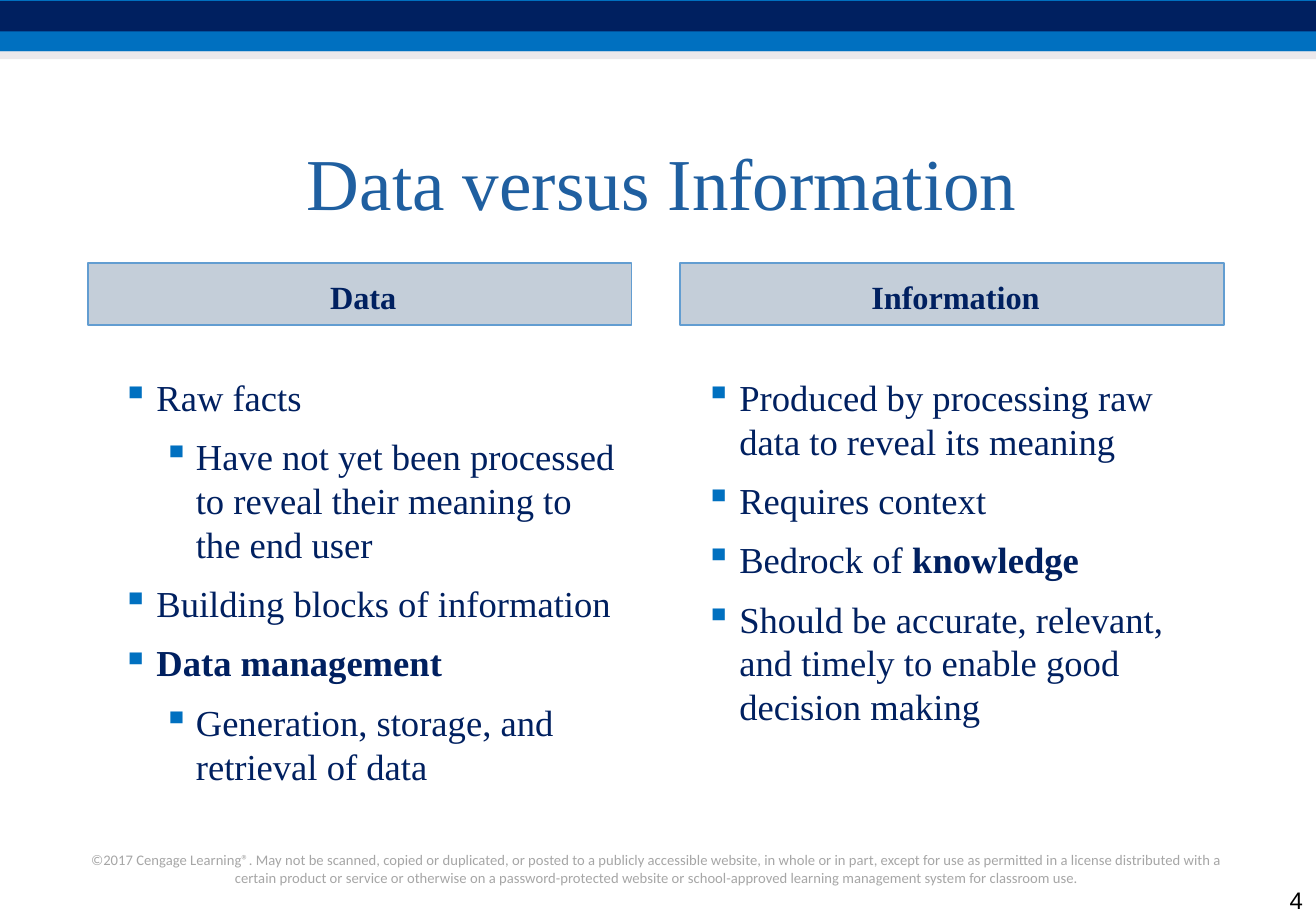
from pptx import Presentation
from pptx.dml.color import RGBColor
from pptx.enum.shapes import MSO_SHAPE
from pptx.enum.text import MSO_ANCHOR, PP_ALIGN
from pptx.oxml.ns import qn
from pptx.util import Pt
from lxml.etree import SubElement

EMU_PER_PX = 9144
NAVY = "002060"
BLUE = "0070C0"
SERIF = "Times New Roman"
INDENTS = [(37, -26), (67, -25)]


def px(length):
    return length * EMU_PER_PX


def color(value):
    return RGBColor.from_string(value)


class SlideBuilder:
    def __init__(self, deck):
        self.page = deck.slides.add_slide(deck.slide_layouts[6])

    def style(self, paragraph, size, ink, font=SERIF, bold=False):
        paragraph.font.name = font
        paragraph.font.size = Pt(size)
        paragraph.font.bold = bold
        paragraph.font.color.rgb = color(ink)

    def rectangle(self, left, top, width, height, fill, alpha=100, line=None):
        box = self.page.shapes.add_shape(
            MSO_SHAPE.RECTANGLE, px(left), px(top), px(width), px(height))
        box.shadow.inherit = False
        box.fill.solid()
        box.fill.fore_color.rgb = color(fill)
        if alpha < 100:
            tint = box.fill._xPr.find(qn("a:solidFill"))[0]
            SubElement(tint, qn("a:alpha"), val=str(alpha * 1000))
        if line:
            box.line.color.rgb = color(line)
            box.line.width = Pt(1)
        else:
            box.line.fill.background()
        return box

    def text_box(self, left, top, width, height, anchor=MSO_ANCHOR.TOP):
        box = self.page.shapes.add_textbox(px(left), px(top), px(width), px(height))
        box.text_frame.word_wrap = True
        box.text_frame.vertical_anchor = anchor
        return box.text_frame

    def label(self, left, top, width, height, text, size, ink, font=SERIF,
              align=PP_ALIGN.CENTER, anchor=MSO_ANCHOR.TOP):
        paragraph = self.text_box(left, top, width, height, anchor).paragraphs[0]
        paragraph.text = text
        paragraph.alignment = align
        self.style(paragraph, size, ink, font)

    def heading(self, left, top, width, height, text):
        box = self.rectangle(left, top, width, height, "143F6A", 25, "629DD1")
        frame = box.text_frame
        frame.margin_left = px(15)
        frame.margin_top = px(9)
        frame.vertical_anchor = MSO_ANCHOR.MIDDLE
        paragraph = frame.paragraphs[0]
        paragraph.text = text
        paragraph.alignment = PP_ALIGN.CENTER
        self.style(paragraph, 17.7, NAVY, bold=True)

    def bullets(self, left, top, width, height, items):
        frame = self.text_box(left, top, width, height)
        for index, (level, plain, strong) in enumerate(items):
            paragraph = frame.paragraphs[0] if index == 0 else frame.add_paragraph()
            paragraph.level = level
            paragraph.space_before = Pt(2.8 if index else 0)
            paragraph.space_after = Pt(5.6)
            margin, indent = INDENTS[level]
            properties = paragraph._p.get_or_add_pPr()
            properties.set("marL", str(px(margin)))
            properties.set("indent", str(px(indent)))
            bullet_color = SubElement(properties, qn("a:buClr"))
            SubElement(bullet_color, qn("a:srgbClr"), val=BLUE)
            SubElement(properties, qn("a:buChar"), char="▪")
            self.style(paragraph, 20, NAVY, bold=not plain)
            if plain:
                paragraph.add_run().text = plain
            if strong:
                span = paragraph.add_run()
                span.text = strong
                span.font.bold = True


def main():
    deck = Presentation()
    deck.slide_width = px(1000)
    deck.slide_height = px(700)
    slide = SlideBuilder(deck)

    slide.rectangle(0, 0, 1000, 39, BLUE)
    slide.rectangle(0, 1, 1000, 23, NAVY)
    slide.rectangle(0, 39, 1000, 6, "D8D3D9", 50)
    slide.label(
        58, 642, 883, 37,
        "©2017 Cengage Learning®. May not be scanned, copied or duplicated, or posted "
        "to a publicly accessible website, in whole or in part, except for use as "
        "permitted in a license distributed with a certain product or service or "
        "otherwise on a password-protected website or school-approved learning "
        "management system for classroom use.",
        8, "A6A6A6", "Calibri")
    slide.label(75, 83, 856, 109, "Data versus Information", 40, "1F5FA0",
                anchor=MSO_ANCHOR.MIDDLE)

    columns = [
        (67, 72, "Data", [
            (0, "Raw facts", ""),
            (1, "Have not yet been processed to reveal their meaning to the end user", ""),
            (0, "Building blocks of information", ""),
            (0, "", "Data management"),
            (1, "Generation, storage, and retrieval of data", ""),
        ]),
        (517, 515, "Information", [
            (0, "Produced by processing raw data to reveal its meaning", ""),
            (0, "Requires context", ""),
            (0, "Bedrock of ", "knowledge"),
            (0, "Should be accurate, relevant, and timely to enable good decision making", ""),
        ]),
    ]
    for heading_left, list_left, title, items in columns:
        slide.heading(heading_left, 200, 413, 47, title)
        slide.bullets(list_left, 280, 413, 393, items)

    slide.label(950, 669, 50, 31, "4", 13.1, "000000", "Arial",
                PP_ALIGN.RIGHT, MSO_ANCHOR.BOTTOM)
    deck.save("out.pptx")


if __name__ == "__main__":
    main()
